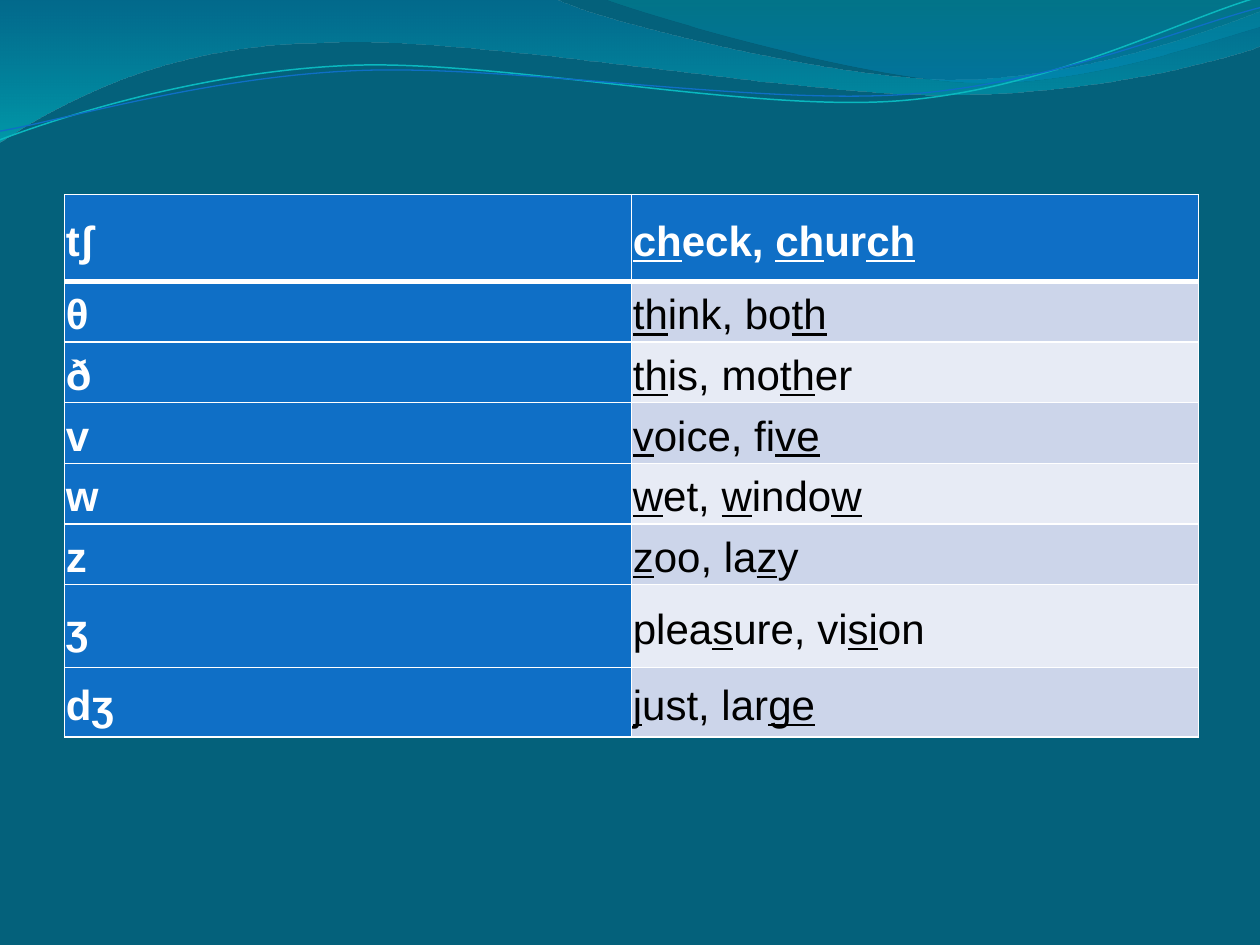
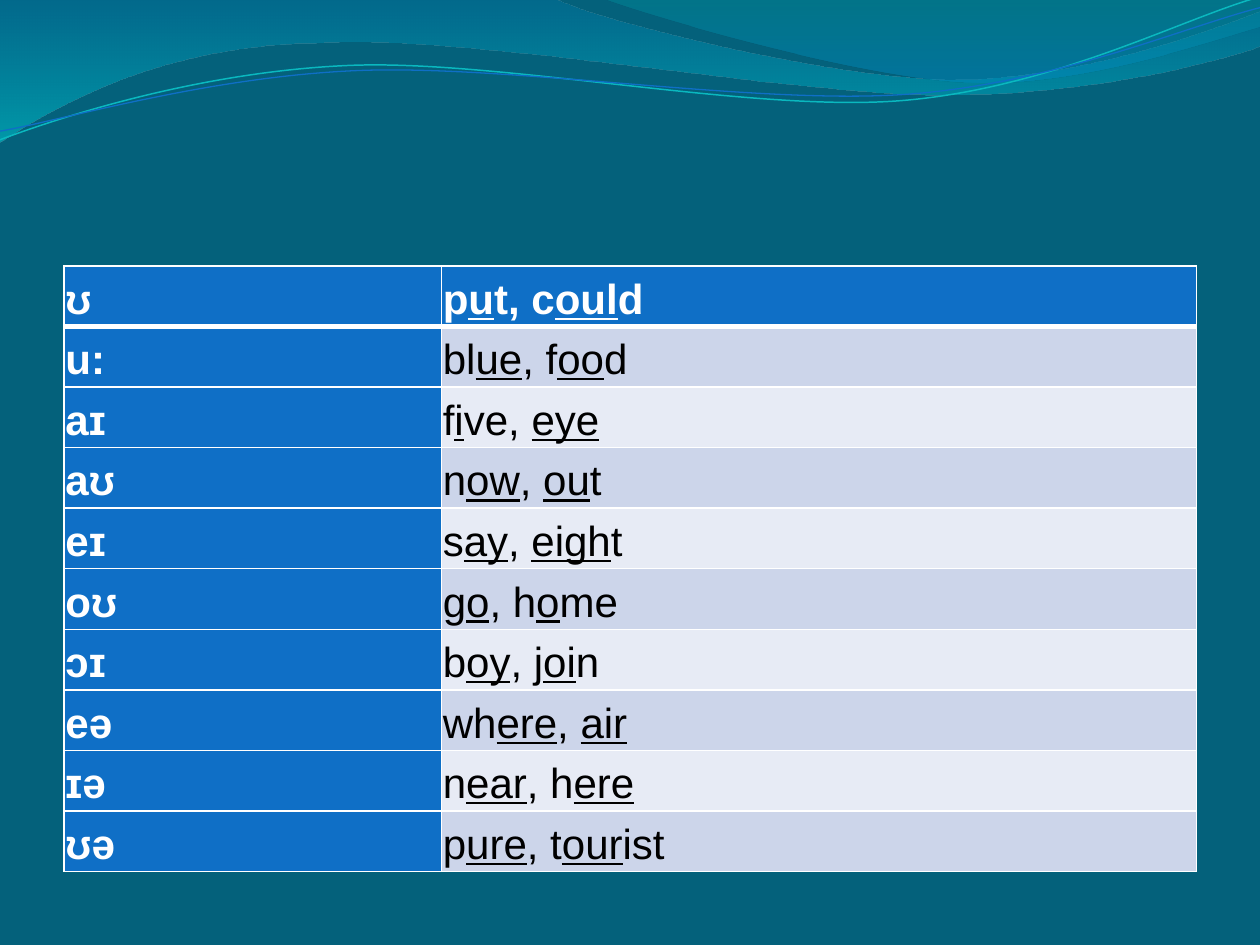
from lxml import etree
from pptx import Presentation
from pptx.dml.color import RGBColor
from pptx.enum.text import MSO_ANCHOR
from pptx.oxml.ns import qn
from pptx.util import Inches, Pt

MIDDLE = MSO_ANCHOR.MIDDLE

# Shared style
DEEP_TEAL = RGBColor(0x04, 0x61, 0x7B)
BLUE = RGBColor(0x0F, 0x6F, 0xC6)
AQUA = RGBColor(0x0A, 0xB8, 0xBF)
WHITE = RGBColor(0xFF, 0xFF, 0xFF)
BLACK = RGBColor(0x00, 0x00, 0x00)
BANDS = (RGBColor(0xE7, 0xEB, 0xF5), RGBColor(0xCC, 0xD5, 0xEA))
FONT = "Arial"
TEXT_SIZE = Pt(24)
CELL_INSET = Inches(0.01)
THIN, THICK = Pt(1), Pt(3)
STRAND_TURN = 357.3

# The grid: 100 columns by 75 rows on a 10 by 7.5 inch slide
COLUMNS, ROWS = 100, 75
WIDTH, HEIGHT = Inches(10), Inches(7.5)

# Wave outlines in grid units: two numbers are a corner, six are a Bezier curve.
# A gradient stop is position, colour and opacity.
WAVES = [
    ([(0, -0.1), (44, -0.1), (47.6, 1.7, 66.4, 6.3, 75.8, 6.3),
      (85.3, 6.3, 95.8, 2.6, 100, 0.9), (100.1, 3.6),
      (98.3, 4.4, 87, 7.6, 74.6, 7.5), (62.2, 7.5, 38.2, 2.8, 25.7, 3.4),
      (12.9, 3.5, 4.6, 8.3, -0.1, 11.3), (0, -0.1)],
     [(0, RGBColor(0x00, 0x74, 0xA1), 0.45), (1, RGBColor(0x00, 0xC6, 0xCF), 0.55)]),
    ([(47.9, -0.1), (50.9, 1.1, 68.2, 6.2, 76.9, 6.5),
      (85.6, 6.9, 96.1, 3.2, 100, 2.1), (100, 0), (47.9, -0.1)],
     [(0, RGBColor(0x00, 0xA1, 0xA9), 0.3), (0.8, RGBColor(0x00, 0x8B, 0xBF), 0.45)]),
]
# Strands before they are turned
STRANDS = [
    ([(-0.2, 8.74), (4.68, 7.17, 15.84, 4.09, 27.75, 4.15),
      (39.56, 4.21, 59.14, 9.34, 71.17, 9.01),
      (83.2, 8.67, 93.95, 3.57, 100.03, 2.16)], AQUA, Pt(0.85)),
    ([(-0.16, 8.05), (4.58, 7.47, 16.43, 4.52, 28.34, 4.58),
      (40.35, 4.65, 59.58, 8.76, 71.6, 8.52),
      (83.53, 8.28, 94.23, 4.18, 100.19, 2.97)], BLUE, Pt(0.75)),
]

# Sounds and example words; underscores enclose the underlined letters
CONSONANTS = [
    ("tʃ", "_ch_eck, _ch_ur_ch_"),
    ("θ", "_th_ink, bo_th_"),
    ("ð", "_th_is, mo_th_er"),
    ("v", "_v_oice, fi_ve_"),
    ("w", "_w_et, _w_indo_w_"),
    ("z", "_z_oo, la_z_y"),
    ("ʒ", "plea_s_ure, vi_si_on"),
    ("dʒ", "_j_ust, lar_ge_"),
]
VOWELS = [
    ("ʊ", "p_u_t, c_oul_d"),
    ("u:", "bl_ue_, f_oo_d"),
    ("aɪ", "f_i_ve, _eye_"),
    ("aʊ", "n_ow_, _ou_t"),
    ("eɪ", "s_ay_, _eigh_t"),
    ("oʊ", "g_o_, h_o_me"),
    ("ɔɪ", "b_oy_, j_oi_n"),
    ("eə", "wh_ere_, _air_"),
    ("ɪə", "n_ear_, h_ere_"),
    ("ʊə", "p_ure_, t_our_ist"),
]
ROW = 4.81


def across(columns):
    return round(WIDTH * columns / COLUMNS)


def down(rows):
    return round(HEIGHT * rows / ROWS)


class PhoneticsDeck:
    def __init__(self):
        self.prs = Presentation()
        self.prs.slide_width, self.prs.slide_height = WIDTH, HEIGHT
        backdrop = self.prs.slide_master.background.fill
        backdrop.solid()
        backdrop.fore_color.rgb = DEEP_TEAL
        self.slide = None

    def new_slide(self):
        self.slide = self.prs.slides.add_slide(self.prs.slide_layouts[6])

    def share_waves(self):
        """Draw the waves once and hand them to the master."""
        bands = [self.wave(*wave) for wave in WAVES]
        bands += [self.strand(*strand) for strand in STRANDS]
        for band in bands:
            self.prs.slide_master.shapes.element.append(band.element)

    def curve(self, outline, close):
        points = [(across(x), down(y))
                  for step in outline for x, y in zip(step[::2], step[1::2])]
        builder = self.slide.shapes.build_freeform(*points[0])
        builder.add_line_segments(points[1:], close=close)
        shape = builder.convert_to_shape()
        shape.shadow.inherit = False
        # Join each three points of a curve into one Bezier segment
        segments = iter(list(shape.element.iter(qn("a:lnTo"))))
        for step in outline[1:]:
            first = next(segments)
            if len(step) == 6:
                first.tag = qn("a:cubicBezTo")
                for _ in range(2):
                    extra = next(segments)
                    first.append(extra[0])
                    extra.getparent().remove(extra)
        return shape

    def wave(self, outline, stops):
        shape = self.curve(outline, True)
        shape.line.fill.background()
        shape.fill.gradient()
        shape.fill.gradient_angle = 270
        for stop, (position, color, _) in zip(shape.fill.gradient_stops, stops):
            stop.position = position
            stop.color.rgb = color
        tints = shape.element.spPr.iter(qn("a:srgbClr"))
        for tint, (_, _, opacity) in zip(tints, stops):
            etree.SubElement(tint, qn("a:alpha"), val=str(round(opacity * 100000)))
        return shape

    def strand(self, outline, color, width):
        shape = self.curve(outline, False)
        shape.rotation = STRAND_TURN
        shape.fill.background()
        shape.line.color.rgb = color
        shape.line.width = width
        return shape

    def sound_table(self, left, top, widths, heights, sounds):
        table = self.slide.shapes.add_table(
            len(sounds), len(widths), across(left), down(top),
            across(sum(widths)), down(sum(heights))).table
        table.first_col = True
        for column, width in zip(table.columns, widths):
            column.width = across(width)
        for row, height in zip(table.rows, heights):
            row.height = down(height)
        for r, entry in enumerate(sounds):
            for c, text in enumerate(entry):
                self.cell(table.cell(r, c), text, r, strong=r == 0 or c == 0)

    def cell(self, cell, text, row, strong):
        # Header row and sound column are blue, the examples are banded
        self.borders(cell, row)
        cell.fill.solid()
        cell.fill.fore_color.rgb = BLUE if strong else BANDS[row % 2]
        cell.vertical_anchor = MIDDLE
        cell.margin_left = cell.margin_right = CELL_INSET
        cell.margin_top = cell.margin_bottom = CELL_INSET
        paragraph = cell.text_frame.paragraphs[0]
        paragraph.line_spacing = 1.15
        for i, letters in enumerate(text.split("_")):
            if letters:
                run = paragraph.add_run()
                run.text = letters
                run.font.name, run.font.size = FONT, TEXT_SIZE
                run.font.bold = strong
                run.font.underline = i % 2 == 1
                run.font.color.rgb = WHITE if strong else BLACK

    def borders(self, cell, row):
        # The header's thick bottom rule serves as the top of the next row
        edges = {"a:lnL": THIN, "a:lnR": THIN, "a:lnT": THIN,
                 "a:lnB": THICK if row == 0 else THIN}
        if row == 1:
            del edges["a:lnT"]
        properties = cell._tc.get_or_add_tcPr()
        for tag, width in edges.items():
            edge = etree.SubElement(properties, qn(tag), w=str(width))
            paint = etree.SubElement(edge, qn("a:solidFill"))
            etree.SubElement(paint, qn("a:srgbClr"), val=str(WHITE))


def main():
    deck = PhoneticsDeck()

    # Consonants
    deck.new_slide()
    deck.share_waves()
    deck.sound_table(5.13, 15.45, [45, 45], [6.9] + [ROW] * 5 + [6.6, 5.5], CONSONANTS)

    # Vowels and diphthongs
    deck.new_slide()
    deck.sound_table(5.1, 21.1, [29.95, 59.9], [ROW] * len(VOWELS), VOWELS)

    deck.prs.save("out.pptx")


if __name__ == "__main__":
    main()
